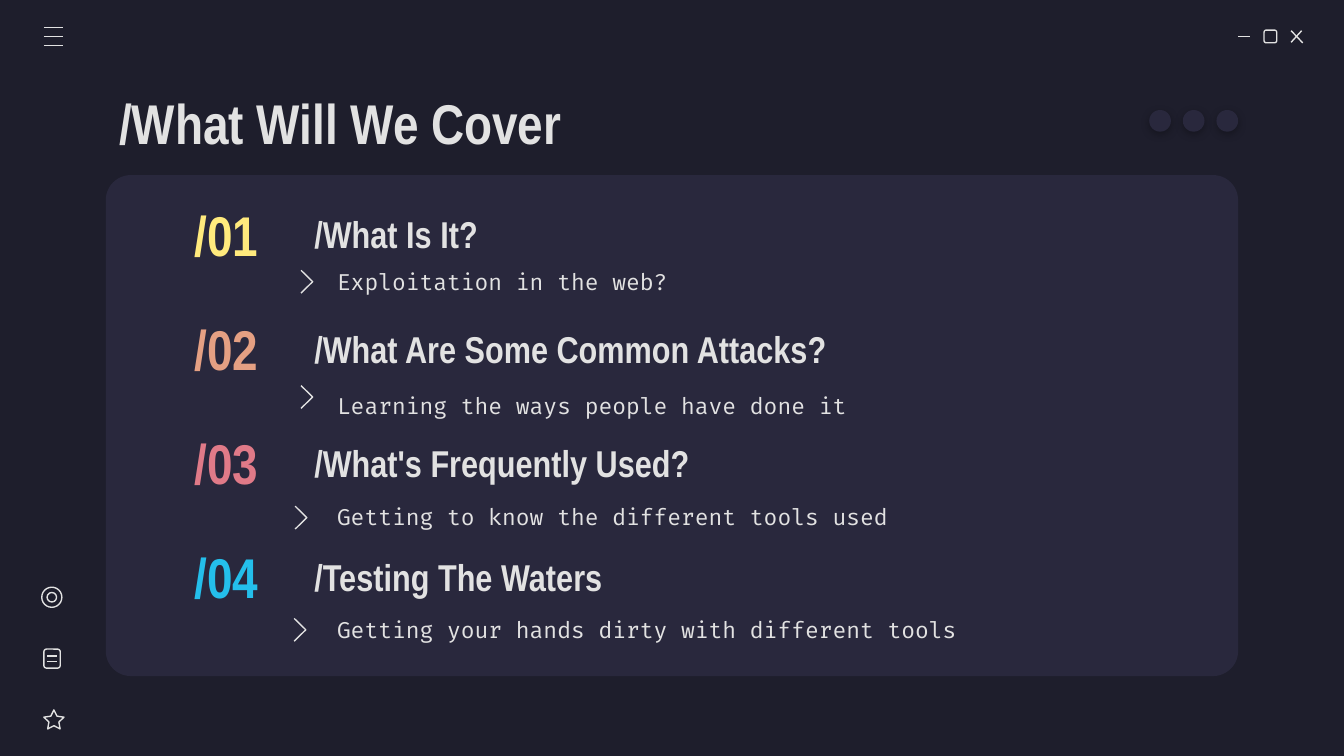
from lxml import etree
from pptx import Presentation
from pptx.dml.color import RGBColor
from pptx.enum.shapes import MSO_CONNECTOR, MSO_SHAPE
from pptx.enum.text import MSO_ANCHOR, PP_ALIGN
from pptx.oxml import parse_xml
from pptx.oxml.ns import nsdecls, qn
from pptx.util import Cm, Pt

ROUND = MSO_SHAPE.ROUNDED_RECTANGLE
OVAL = MSO_SHAPE.OVAL
STAR = MSO_SHAPE.STAR_5_POINT
LINE = MSO_CONNECTOR.STRAIGHT
LEFT = PP_ALIGN.LEFT
CENTER = PP_ALIGN.CENTER
MIDDLE = MSO_ANCHOR.MIDDLE

NIGHT = RGBColor(0x1E, 0x1E, 0x2C)
PANEL = RGBColor(0x29, 0x28, 0x3D)
LIGHT = RGBColor(0xE2, 0xE2, 0xE2)
YELLOW = RGBColor(0xFF, 0xEA, 0x7D)
ORANGE = RGBColor(0xE5, 0xA0, 0x83)
ROSE = RGBColor(0xE0, 0x7A, 0x88)
BLUE = RGBColor(0x24, 0xBF, 0xEB)

HEAD = "Arial Narrow"
CODE = "Fira Code"

TOPICS = [
    ("/What Is It?", "Exploitation in the web?", YELLOW, 4.95, 5.69, 5.11),
    ("/What Are Some Common Attacks?", "Learning the ways people have done it",
     ORANGE, 7.29, 5.69, 7.29),
    ("/What's Frequently Used?", "Getting to know the different tools used",
     ROSE, 9.4, 5.58, 9.57),
    ("/Testing The Waters", "Getting your hands dirty with different tools",
     BLUE, 11.53, 5.56, 11.69),
]


class Deck:
    def __init__(self):
        self.show = Presentation()
        self.show.slide_width = Cm(25.4)
        self.show.slide_height = Cm(14.29)
        self.slide = None

    def page(self):
        self.slide = self.show.slides.add_slide(self.show.slide_layouts[6])
        fill = self.slide.background.fill
        fill.solid()
        fill.fore_color.rgb = NIGHT

    def pen(self, item):
        item.line.color.rgb = LIGHT
        item.line.width = Pt(0.75)

    def shape(self, kind, x, y, w, h, fill=None, adj=None):
        item = self.slide.shapes.add_shape(kind, Cm(x), Cm(y), Cm(w), Cm(h))
        item.shadow.inherit = False
        if adj is not None:
            item.adjustments[0] = adj
        if fill is None:
            item.fill.background()
            self.pen(item)
        else:
            item.fill.solid()
            item.fill.fore_color.rgb = fill
            item.line.fill.background()
        return item

    def dot(self, x, y, size):
        item = self.shape(OVAL, x, y, size, size, fill=PANEL)
        glow = item._element.spPr.find(qn("a:effectLst"))
        glow.append(parse_xml(
            f'<a:outerShdw {nsdecls("a")} blurRad="57150" dist="19050" '
            'dir="5400000" algn="bl" rotWithShape="0"><a:srgbClr val="000000">'
            '<a:alpha val="30000"/></a:srgbClr></a:outerShdw>'))

    def line(self, x1, y1, x2, y2):
        item = self.slide.shapes.add_connector(
            LINE, Cm(x1), Cm(y1), Cm(x2), Cm(y2))
        self.pen(item)
        etree.SubElement(item._element.spPr, qn("a:effectLst"))

    def arrow(self, x, y, w=0.22, h=0.43):
        path = self.slide.shapes.build_freeform(Cm(x), Cm(y))
        path.add_line_segments(
            [(Cm(x + w), Cm(y + h / 2)), (Cm(x), Cm(y + h))], close=False)
        item = path.convert_to_shape()
        item.shadow.inherit = False
        item.fill.background()
        self.pen(item)

    def text(self, words, x, y, w, h, size=12, font=CODE, color=LIGHT,
             bold=False, align=LEFT):
        box = self.slide.shapes.add_textbox(Cm(x), Cm(y), Cm(w), Cm(h))
        frame = box.text_frame
        frame.word_wrap = True
        frame.vertical_anchor = MIDDLE
        frame.margin_left = frame.margin_right = Cm(0.25)
        frame.margin_top = frame.margin_bottom = Cm(0.25)
        para = frame.paragraphs[0]
        para.alignment = align
        run = para.add_run()
        run.text = words
        run.font.size = Pt(size)
        run.font.name = font
        run.font.bold = bold
        run.font.color.rgb = color

    def title(self, words, x, y, w, h, **style):
        self.text(words, x, y, w, h, font=HEAD, bold=True, **style)


def main():
    deck = Deck()
    deck.page()
    deck.shape(ROUND, 2, 3.31, 21.4, 9.47, fill=PANEL, adj=0.05)

    deck.line(23.4, 0.69, 23.63, 0.69)
    deck.shape(ROUND, 23.89, 0.57, 0.24, 0.24)
    deck.line(24.4, 0.58, 24.62, 0.81)
    deck.line(24.6, 0.58, 24.4, 0.8)

    deck.title("/What Will We Cover", 2, 1.5, 21.4, 1.6, size=30)
    for i, (name, note, color, low, left, top) in enumerate(TOPICS):
        y = 3.91 + 2.16 * i
        deck.title(name, 5.69, y, 16.61, 1.02, size=20)
        deck.title(f"/{i + 1:02}", 3.12, y, 2.31, 1.02, size=30,
                   color=color, align=CENTER)
        deck.text(note, 6.12, low, 16.61, 0.74)
        deck.arrow(left, top)

    for i in range(3):
        y = 0.52 + 0.17 * i
        deck.line(0.83, y, 1.2, y)
        deck.dot(21.72 + 0.635 * i, 2.08, 0.41)

    deck.shape(STAR, 0.83, 13.42, 0.38, 0.36, adj=0.25)
    deck.shape(ROUND, 0.83, 12.27, 0.31, 0.36)
    for y in (12.4, 12.5):
        deck.line(0.89, y, 1.07, y)
    deck.shape(OVAL, 0.79, 11.1, 0.38, 0.38)
    deck.shape(OVAL, 0.89, 11.2, 0.18, 0.18)
    deck.show.save("out.pptx")


if __name__ == "__main__":
    main()
